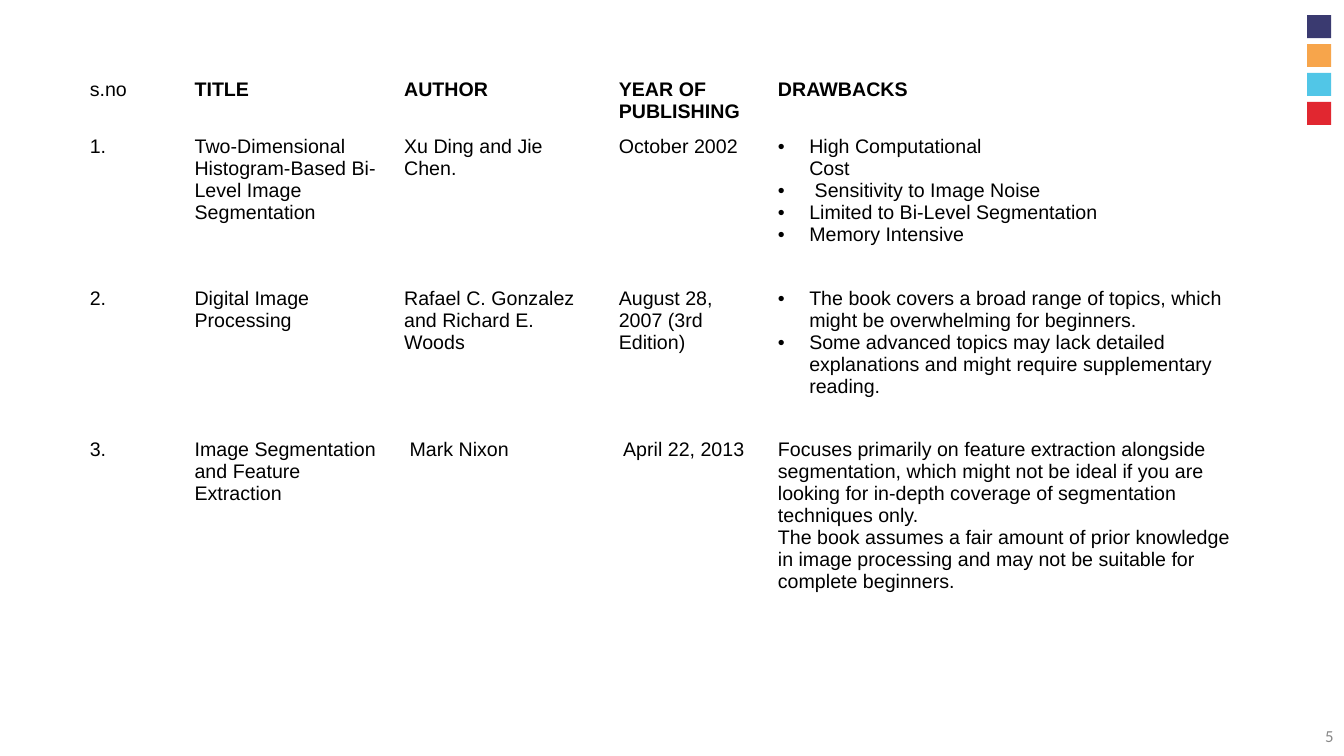
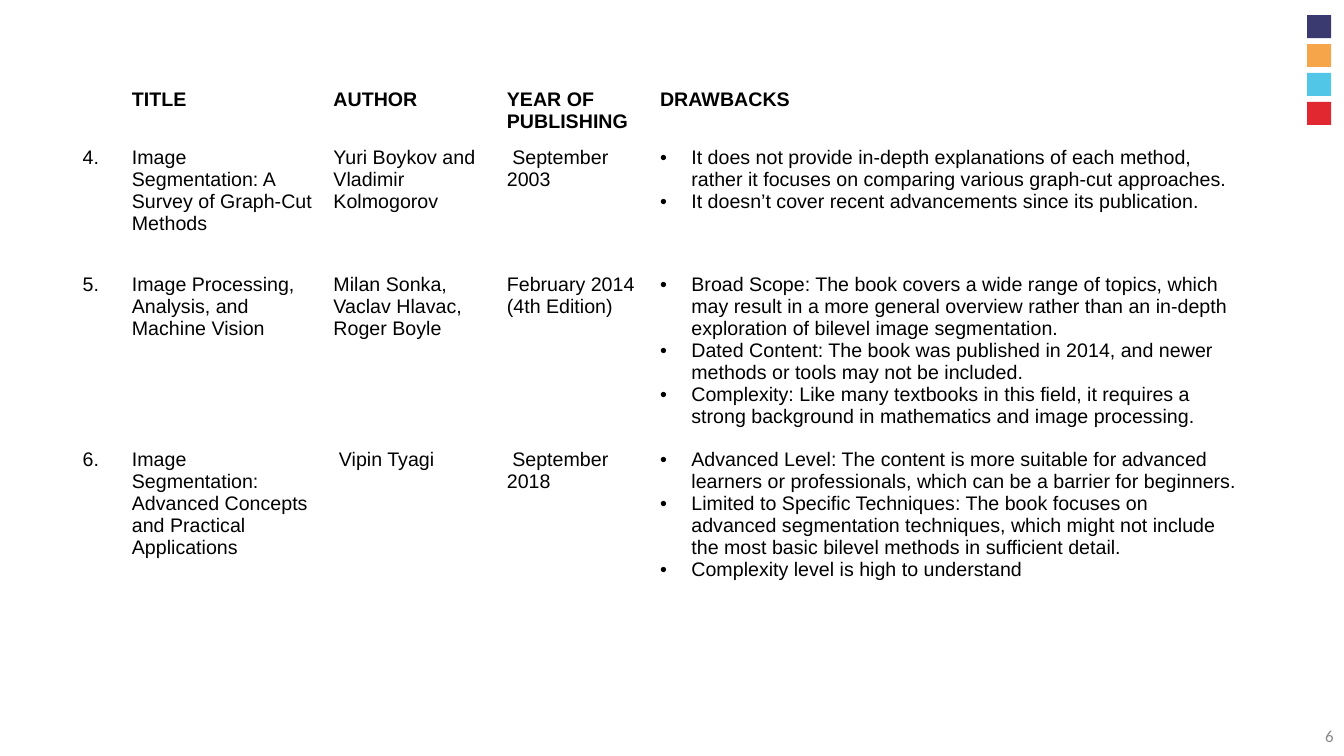
from dataclasses import dataclass
from typing import Optional, Union

from lxml.etree import SubElement
from pptx import Presentation
from pptx.dml.color import RGBColor
from pptx.enum.shapes import MSO_SHAPE as Preset
from pptx.enum.text import MSO_ANCHOR as Anchor, PP_ALIGN as Align
from pptx.oxml.ns import qn
from pptx.util import Cm, Pt

BLACK = "000000"
GREY = "888888"
SQUARE_COLOURS = ("3A3A70", "F7A54B", "51C6E7", "E12730")
BULLET_INDENT = Cm(0.79)


@dataclass(frozen=True)
class Line:
    text: str
    bullet: bool = False
    indented: bool = False
    bold: bool = False


Entry = Union[str, Line, list[Line]]


@dataclass(frozen=True)
class Survey:
    number: int
    left: float
    top: float
    widths: list[float]
    heights: list[float]
    rows: list[list[Entry]]


def bullets(*texts: str) -> list[Line]:
    return [Line(text, bullet=True) for text in texts]


def headings(first: str) -> list[Entry]:
    names = ("TITLE", "AUTHOR", "YEAR OF PUBLISHING", "DRAWBACKS")
    return [first, *(Line(name, bold=True) for name in names)]


SURVEYS = [
    Survey(
        number=5, left=2.01, top=1.85,
        widths=[2.64, 5.28, 5.41, 4.01, 12.34],
        heights=[1.44, 3.83, 3.81, 7.57],
        rows=[
            headings("s.no"),
            ["1.", "Two-Dimensional Histogram-Based Bi-Level Image Segmentation",
             "Xu Ding and Jie Chen.", "October 2002",
             [Line("High Computational", bullet=True),
              Line("Cost", indented=True),
              *bullets(" Sensitivity to Image Noise",
                       "Limited to Bi-Level Segmentation",
                       "Memory Intensive")]],
            ["2.", "Digital Image Processing",
             "Rafael C. Gonzalez and Richard E. Woods", "August 28, 2007 (3rd Edition)",
             bullets("The book covers a broad range of topics, which might be "
                     "overwhelming for beginners.",
                     "Some advanced topics may lack detailed explanations and might "
                     "require supplementary reading.")],
            ["3.", "Image Segmentation and Feature Extraction",
             " Mark Nixon", " April 22, 2013",
             [Line("Focuses primarily on feature extraction alongside segmentation, "
                   "which might not be ideal if you are looking for in-depth coverage "
                   "of segmentation techniques only."),
              Line("The book assumes a fair amount of prior knowledge in image "
                   "processing and may not be suitable for complete beginners.")]],
        ],
    ),
    Survey(
        number=6, left=1.83, top=2.11,
        widths=[1.24, 5.08, 4.37, 3.86, 15.09],
        heights=[1.46, 3.2, 4.41, 6.68],
        rows=[
            headings(""),
            ["4.", "Image Segmentation: A Survey of Graph-Cut Methods",
             "Yuri Boykov and Vladimir Kolmogorov", " September 2003",
             bullets("It does not provide in-depth explanations of each method, rather "
                     "it focuses on comparing various graph-cut approaches.",
                     "It doesn’t cover recent advancements since its publication.")],
            ["5.", "Image Processing, Analysis, and Machine Vision",
             "Milan Sonka, Vaclav Hlavac, Roger Boyle",
             [Line("February 2014"), Line("(4th Edition)")],
             bullets("Broad Scope: The book covers a wide range of topics, which may "
                     "result in a more general overview rather than an in-depth "
                     "exploration of bilevel image segmentation.",
                     "Dated Content: The book was published in 2014, and newer methods "
                     "or tools may not be included.",
                     "Complexity: Like many textbooks in this field, it requires a "
                     "strong background in mathematics and image processing.")],
            ["6.", "Image Segmentation: Advanced Concepts and Practical Applications",
             " Vipin Tyagi", " September 2018",
             bullets("Advanced Level: The content is more suitable for advanced learners "
                     "or professionals, which can be a barrier for beginners.",
                     "Limited to Specific Techniques: The book focuses on advanced "
                     "segmentation techniques, which might not include the most basic "
                     "bilevel methods in sufficient detail.",
                     "Complexity level is high to understand")],
        ],
    ),
]


def colour(value: str) -> RGBColor:
    return RGBColor.from_string(value)


def write(paragraph, text: str, *, size: float = 14, font: str = "Arial",
          fill: str = BLACK, bold: bool = False, align: Optional[Align] = None) -> None:
    run = paragraph.add_run()
    run.text = text
    run.font.size = Pt(size)
    run.font.name = font
    run.font.bold = bold
    run.font.color.rgb = colour(fill)
    paragraph.alignment = align


def indent(paragraph, bullet: bool) -> None:
    properties = paragraph._p.get_or_add_pPr()
    properties.set("marL", str(BULLET_INDENT))
    properties.set("indent", str(-BULLET_INDENT if bullet else 0))
    if bullet:
        bullet_colour = SubElement(properties, qn("a:buClr"))
        SubElement(bullet_colour, qn("a:srgbClr"), val=BLACK)
        SubElement(properties, qn("a:buFont"), typeface="Arial")
        SubElement(properties, qn("a:buChar"), char="•")


def fill_cell(cell, entry: Entry) -> None:
    cell.fill.background()
    if not entry:
        return
    if isinstance(entry, str):
        entry = Line(entry)
    lines = entry if isinstance(entry, list) else [entry]
    frame = cell.text_frame
    for index, line in enumerate(lines):
        paragraph = frame.add_paragraph() if index else frame.paragraphs[0]
        write(paragraph, line.text, bold=line.bold)
        if line.bullet or line.indented:
            indent(paragraph, line.bullet)


def add_survey_table(slide, survey: Survey) -> None:
    table = slide.shapes.add_table(
        len(survey.heights), len(survey.widths), Cm(survey.left), Cm(survey.top),
        Cm(sum(survey.widths)), Cm(sum(survey.heights))).table
    table.first_row = False
    table.horz_banding = False
    for column, width in zip(table.columns, survey.widths):
        column.width = Cm(width)
    for row, height, entries in zip(table.rows, survey.heights, survey.rows):
        row.height = Cm(height)
        for cell, entry in zip(row.cells, entries):
            fill_cell(cell, entry)


def add_page_number(slide, number: int) -> None:
    frame = slide.shapes.add_textbox(Cm(26.24), Cm(18.03), Cm(7.62), Cm(1.02)).text_frame
    frame.word_wrap = True
    frame.vertical_anchor = Anchor.MIDDLE
    write(frame.paragraphs[0], str(number), size=12, font="Calibri", fill=GREY,
          align=Align.RIGHT)


def move_squares_to_layout(slide, layout) -> None:
    for index, square_colour in enumerate(SQUARE_COLOURS):
        square = slide.shapes.add_shape(
            Preset.RECTANGLE, Cm(32.94), Cm(0.38 + 0.73 * index), Cm(0.61), Cm(0.58))
        square.shadow.inherit = False
        square.fill.solid()
        square.fill.fore_color.rgb = colour(square_colour)
        square.line.fill.background()
        square.element.nvSpPr.cNvPr.set("id", str(20 + index))
        layout.shapes.element.append(square.element)


def main() -> None:
    presentation = Presentation()
    presentation.slide_width = Cm(33.87)
    presentation.slide_height = Cm(19.05)
    layout = presentation.slide_layouts[6]
    slides = [presentation.slides.add_slide(layout) for _ in SURVEYS]
    move_squares_to_layout(slides[0], layout)
    for slide, survey in zip(slides, SURVEYS):
        add_page_number(slide, survey.number)
        add_survey_table(slide, survey)
    presentation.save("out.pptx")


if __name__ == "__main__":
    main()
